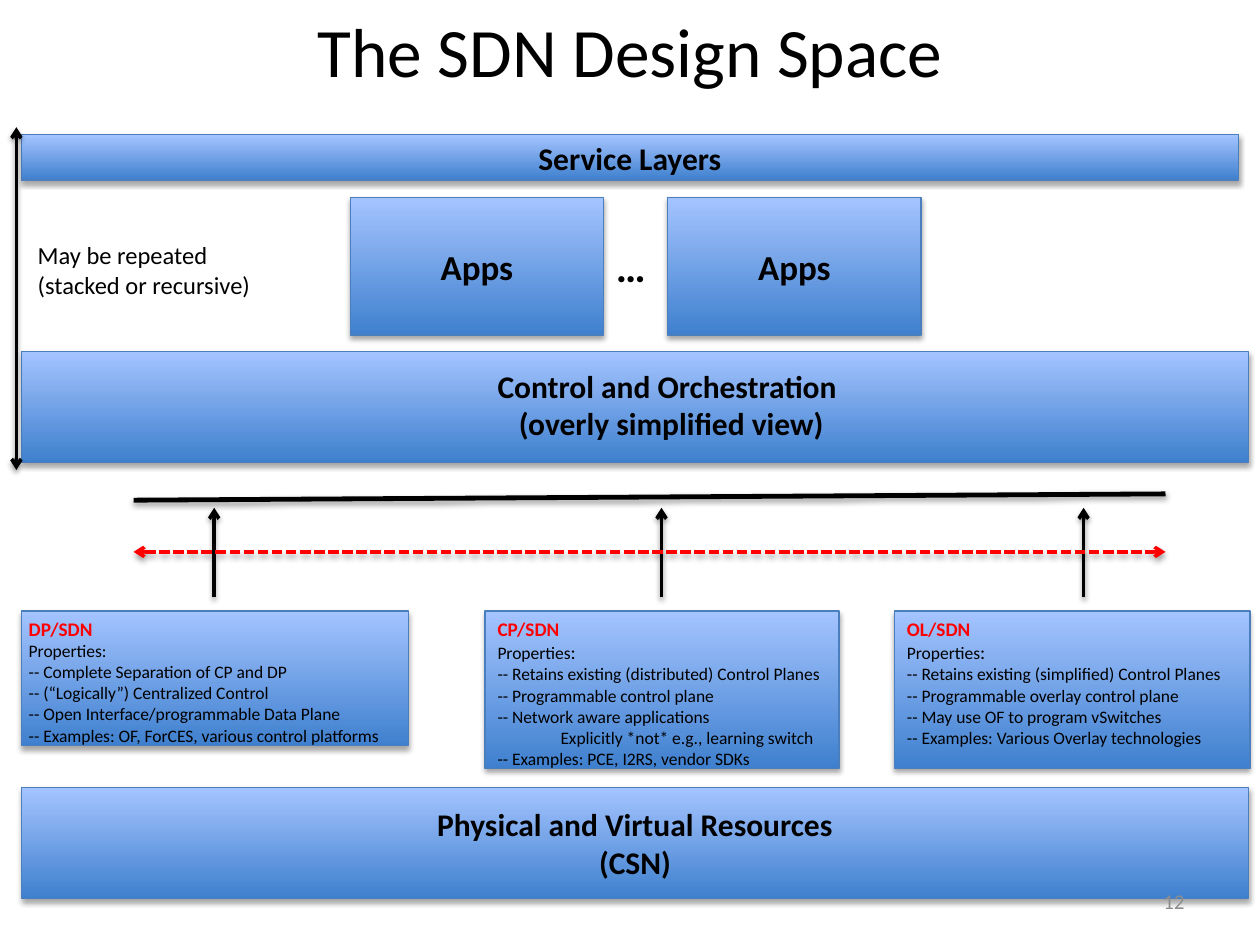
"""Build the SDN design space slide."""
from dataclasses import dataclass

from lxml.etree import SubElement
from pptx import Presentation
from pptx.dml.color import RGBColor
from pptx.enum.dml import MSO_LINE
from pptx.enum.shapes import MSO_CONNECTOR, MSO_SHAPE
from pptx.enum.text import MSO_ANCHOR, PP_ALIGN
from pptx.oxml.ns import qn
from pptx.slide import Slide
from pptx.text.text import TextFrame
from pptx.util import Emu, Inches, Pt

BLACK = RGBColor(0x00, 0x00, 0x00)
RED = RGBColor(0xFF, 0x00, 0x00)
GREY = RGBColor(0x8C, 0x8C, 0x8C)
BORDER = RGBColor(0x4B, 0x7E, 0xBC)
GRADIENT = (RGBColor(0x3F, 0x80, 0xCE), RGBColor(0xA4, 0xC4, 0xFF))
FONT = "Calibri"
LEFT = 0.17
FULL_WIDTH = 9.74
CARD_TOP = 4.85


@dataclass(frozen=True)
class Run:
    text: str
    size: float
    bold: bool = False
    color: RGBColor = BLACK


@dataclass(frozen=True)
class Line:
    runs: tuple[Run, ...]
    indent: float = 0


@dataclass(frozen=True)
class Box:
    left: float
    top: float
    width: float
    height: float
    lines: tuple[Line, ...] = ()


@dataclass(frozen=True)
class Arrow:
    start: tuple[float, float]
    end: tuple[float, float]
    color: RGBColor = BLACK
    width: float = 2
    ends: tuple[str, ...] = ()
    dashed: bool = False


@dataclass(frozen=True)
class Card:
    panel: Box
    text_left: float
    text_width: float
    wrap: bool
    heading: str
    colon_size: float
    properties: tuple[str, ...]
    indented: str = ""


def plain_lines(size: float, *texts: str, bold: bool = False) -> tuple[Line, ...]:
    return tuple(Line((Run(text, size, bold),)) for text in texts)


BANDS = (
    Box(LEFT, 6.25, FULL_WIDTH, 0.88,
        plain_lines(18, "Physical and Virtual Resources", "(CSN)", bold=True)),
    Box(LEFT, 2.79, FULL_WIDTH, 0.88),
    Box(LEFT, 1.07, 9.66, 0.36, plain_lines(18, "Service Layers", bold=True)),
    *(Box(left, 1.57, 2.01, 1.09, plain_lines(20, "Apps", bold=True))
      for left in (2.78, 5.3)),
)

CARDS = (
    Card(Box(LEFT, CARD_TOP, 3.07, 1.07), 0.13, 3.14, True, "DP/SDN", 10, (
        "-- Complete Separation of CP and DP",
        "-- (“Logically”) Centralized Control",
        "-- Open Interface/programmable Data Plane",
        "-- Examples: OF, ForCES, various control platforms",
    )),
    Card(Box(3.85, CARD_TOP, 2.81, 1.25), 3.85, 2.81, False, "CP/SDN", 11, (
        "-- Retains existing (distributed) Control Planes",
        "-- Programmable control plane",
        "-- Network aware applications",
        "Explicitly *not* e.g., learning switch",
        "-- Examples: PCE, I2RS, vendor SDKs",
    ), "Explicitly *not* e.g., learning switch"),
    Card(Box(7.1, CARD_TOP, 2.82, 1.25), 7.1, 2.74, False, "OL/SDN", 11, (
        "-- Retains existing (simplified) Control Planes",
        "-- Programmable overlay control plane",
        "-- May use OF to program vSwitches",
        "-- Examples: Various Overlay technologies",
    )),
)

ARROWS = (
    Arrow((1.06, 3.97), (9.25, 3.92), width=2.75),
    *(Arrow((x, 4.74), (x, 4.03), ends=("tailEnd",)) for x in (1.7, 5.25, 8.6)),
    Arrow((1.06, 4.38), (9.25, 4.38), RED, ends=("headEnd", "tailEnd"), dashed=True),
    Arrow((0.13, 1.01), (0.13, 3.73), ends=("headEnd", "tailEnd")),
)

LABELS = (
    Box(3.85, 2.86, 3.05, 0.71, (
        Line((Run("Control and Orchestration", 18, True),)),
        Line((Run("(overly simplified view)", 18, True),), 0.17),
    )),
    Box(4.79, 1.86, 0.44, 0.5, plain_lines(24, "…", bold=True)),
    Box(0.2, 1.86, 1.92, 0.57,
        plain_lines(14, "May be repeated", "(stacked or recursive)")),
)


def place(box: Box) -> tuple[Emu, ...]:
    return tuple(Inches(n) for n in (box.left, box.top, box.width, box.height))


def write_lines(frame: TextFrame, lines: tuple[Line, ...], align: PP_ALIGN) -> None:
    for index, line in enumerate(lines):
        paragraph = frame.add_paragraph() if index else frame.paragraphs[0]
        paragraph.alignment = align
        if line.indent:
            properties = paragraph._p.get_or_add_pPr()
            properties.set("marL", str(Inches(line.indent)))
            properties.set("indent", "0")
        for part in line.runs:
            run = paragraph.add_run()
            run.text = part.text
            run.font.name = FONT
            run.font.size = Pt(part.size)
            run.font.bold = part.bold
            run.font.color.rgb = part.color


def add_shadow(effects, opacity: int, distance: float) -> None:
    shadow = SubElement(effects, qn("a:outerShdw"), blurRad=str(Pt(3.1)),
                        dist=str(Pt(distance)), dir="5400000", rotWithShape="0")
    color = SubElement(shadow, qn("a:srgbClr"), val=str(BLACK))
    SubElement(color, qn("a:alpha"), val=str(opacity * 1000))


def add_panel(slide: Slide, box: Box) -> None:
    shape = slide.shapes.add_shape(MSO_SHAPE.RECTANGLE, *place(box))
    shape.fill.gradient()
    shape.fill.gradient_angle = 90
    for stop, color in zip(shape.fill.gradient_stops, GRADIENT):
        stop.color.rgb = color
    shape.line.color.rgb = BORDER
    shape.line.width = Pt(0.75)
    shape.shadow.inherit = False
    add_shadow(shape._element.spPr.find(qn("a:effectLst")), 35, 1.8)
    write_lines(shape.text_frame, box.lines, PP_ALIGN.CENTER)


def add_label(slide: Slide, box: Box, wrap: bool = False,
              align: PP_ALIGN = PP_ALIGN.LEFT,
              anchor: MSO_ANCHOR = MSO_ANCHOR.TOP) -> None:
    frame = slide.shapes.add_textbox(*place(box)).text_frame
    frame.word_wrap = wrap
    frame.vertical_anchor = anchor
    write_lines(frame, box.lines, align)


def add_arrow(slide: Slide, arrow: Arrow) -> None:
    points = (Inches(n) for n in (*arrow.start, *arrow.end))
    connector = slide.shapes.add_connector(MSO_CONNECTOR.STRAIGHT, *points)
    connector.line.color.rgb = arrow.color
    connector.line.width = Pt(arrow.width)
    if arrow.dashed:
        connector.line.dash_style = MSO_LINE.SQUARE_DOT
    properties = connector._element.spPr
    for end in arrow.ends:
        SubElement(properties.find(qn("a:ln")), qn(f"a:{end}"), type="arrow")
    add_shadow(SubElement(properties, qn("a:effectLst")), 38, 1.6)


def add_card(slide: Slide, card: Card) -> None:
    add_panel(slide, card.panel)
    lines = (
        Line((Run(card.heading, 11, True, RED),)),
        Line((Run("Properties", 10), Run(":", card.colon_size))),
        *(Line((Run(text, 10),), 0.5 if text == card.indented else 0)
          for text in card.properties),
    )
    height = 0.19 * len(lines)
    add_label(slide, Box(card.text_left, CARD_TOP, card.text_width, height, lines), card.wrap)


def main() -> None:
    presentation = Presentation()
    presentation.slide_width, presentation.slide_height = Inches(10), Inches(7.5)
    slide = presentation.slides.add_slide(presentation.slide_layouts[5])
    title = slide.shapes.title
    title.left, title.top, title.width, title.height = place(Box(0.5, 0.04, 9, 0.71))
    title.text_frame.vertical_anchor = MSO_ANCHOR.MIDDLE
    write_lines(title.text_frame, plain_lines(39.6, "The SDN Design Space"), PP_ALIGN.CENTER)
    for band in BANDS:
        add_panel(slide, band)
    for card in CARDS:
        add_card(slide, card)
    for arrow in ARROWS:
        add_arrow(slide, arrow)
    for label in LABELS:
        add_label(slide, label)
    number = Box(7.17, 6.95, 2.33, 0.4, (Line((Run("12", 12, color=GREY),)),))
    add_label(slide, number, True, PP_ALIGN.RIGHT, MSO_ANCHOR.MIDDLE)
    presentation.save("out.pptx")


if __name__ == "__main__":
    main()
